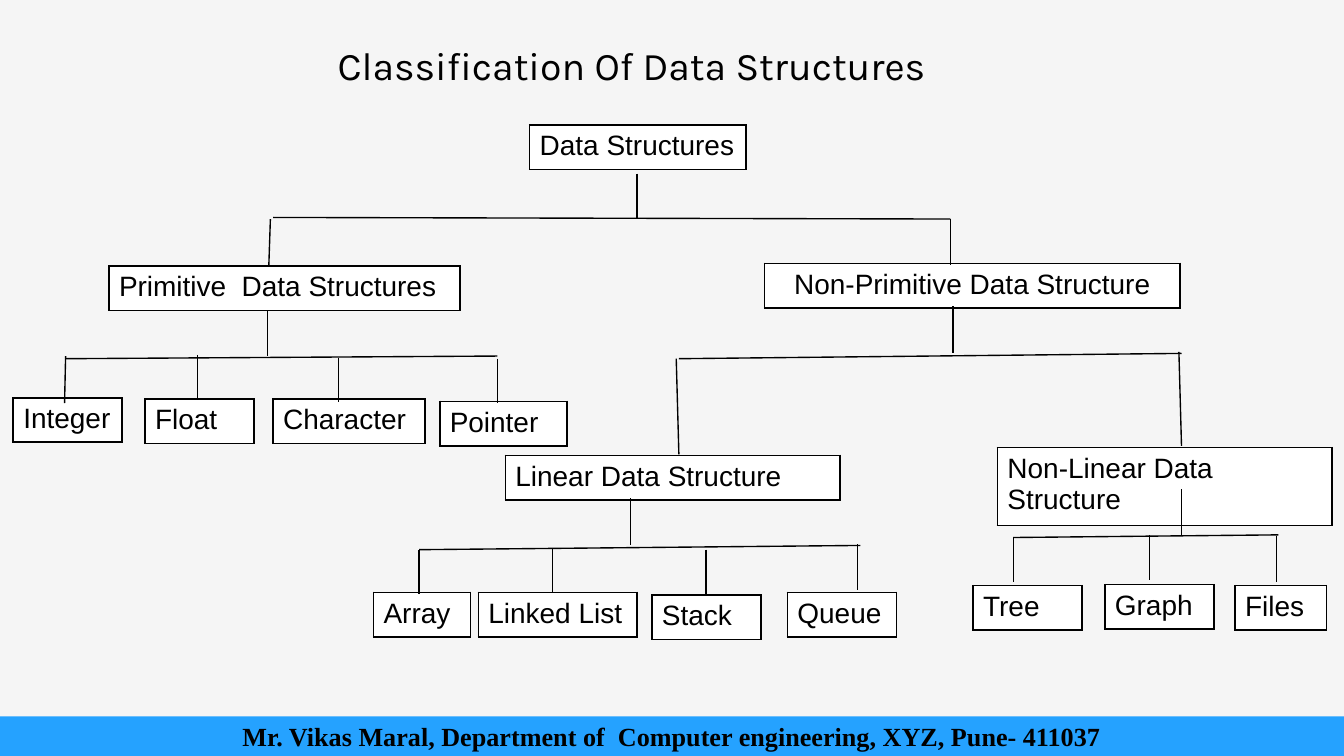
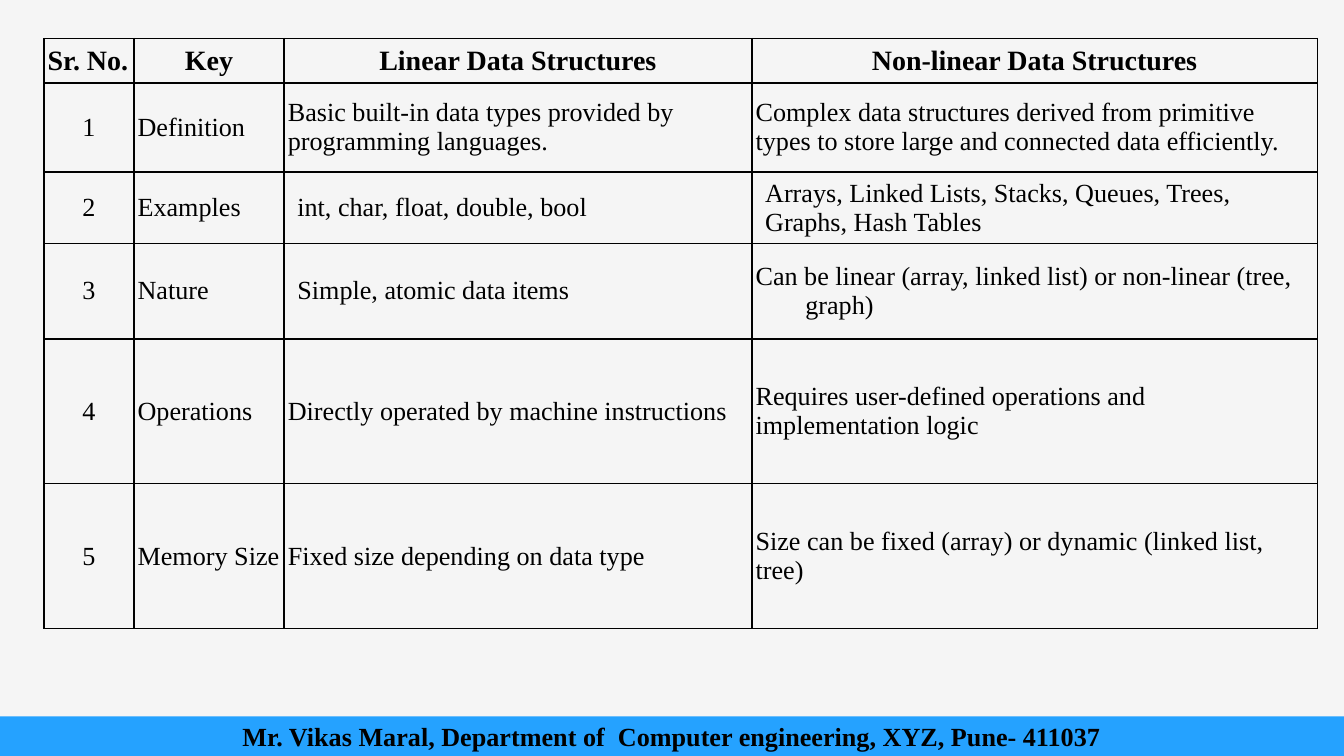
from lxml import etree
from pptx import Presentation
from pptx.dml.color import RGBColor
from pptx.enum.shapes import MSO_CONNECTOR, MSO_SHAPE
from pptx.enum.text import MSO_ANCHOR, PP_ALIGN
from pptx.oxml.ns import qn
from pptx.util import Cm, Pt

LEFT, CENTER = PP_ALIGN.LEFT, PP_ALIGN.CENTER
TOP, MIDDLE = MSO_ANCHOR.TOP, MSO_ANCHOR.MIDDLE
STRAIGHT, RECTANGLE = MSO_CONNECTOR.STRAIGHT, MSO_SHAPE.RECTANGLE

SLIDE_WIDTH, SLIDE_HEIGHT = 25.4, 14.29
BACKGROUND, BAND, BLACK, WHITE = "F5F5F5", "25A2FF", "000000", "FFFFFF"
SANS, SERIF, TITLE_FONT = "Arial", "Times New Roman", "Karla"
FOOTER = "Mr. Vikas Maral, Department of  Computer engineering, XYZ, Pune- 411037"
BOX_HEIGHT = 0.84
BOX_MARGINS, NARROW_MARGINS, WIDE_MARGINS = (0.19, 0.1), (0.07, 0.1), (0.25, 0.13)

# Text, left, top, width
BOXES = [
    ("Data Structures", 10.01, 2.36, 4.09),
    ("Primitive  Data Structures", 2.06, 5.03, 6.63),
    ("Integer", 0.25, 7.52, 2.06),
    ("Float", 2.74, 7.54, 2.06),
    ("Character", 5.16, 7.54, 2.87),
    ("Pointer", 8.31, 7.59, 2.41),
    ("Linear Data Structure", 9.55, 8.61, 6.32),
    ("Array", 7.06, 11.2, 1.83),
    ("Linked List", 9.04, 11.2, 3),
    ("Stack", 12.32, 11.25, 2.06),
    ("Queue", 14.88, 11.2, 2.06),
    ("Tree", 18.39, 11.07, 2.06),
    ("Graph", 20.88, 11.05, 2.06),
    ("Files", 23.34, 11.07, 1.73),
]

# Stem (x, top), crossbar (x1, y1, x2, y2), drops (x1, y1, x2, y2)
BRANCHES = [
    ((12.04, 3.28), (5.16, 4.11, 17.96, 4.14),
     [(5.11, 4.14, 5.08, 5.03), (17.96, 4.14, 17.96, 5)]),
    ((5.05, 5.87), (1.24, 6.78, 9.4, 6.73),
     [(1.24, 6.73, 1.22, 7.62), (3.73, 6.71, 3.73, 7.54),
      (6.4, 6.76, 6.4, 7.59), (9.4, 6.78, 9.4, 7.62)]),
    ((18.01, 5.79), (12.83, 6.78, 22.33, 6.68),
     [(12.78, 6.78, 12.83, 8.59), (22.28, 6.65, 22.33, 8.43)]),
    ((11.91, 9.42), (7.92, 10.39, 16.26, 10.31),
     [(7.92, 10.39, 7.92, 11.23), (10.44, 10.36, 10.44, 11.2),
      (13.34, 10.39, 13.34, 11.25), (16.21, 10.29, 16.21, 11.15)]),
    ((22.33, 9.25), (19.15, 10.16, 24.16, 10.11),
     [(19.15, 10.16, 19.15, 11), (21.72, 10.11, 21.72, 10.97),
      (24.13, 10.13, 24.13, 11)]),
]

COLUMN_WIDTHS = [1.7, 2.84, 8.84, 10.69]
ROW_HEIGHTS = [0.84, 1.68, 1.35, 1.8, 2.74, 2.74]
COMPARISON = [
    ("Sr. No.", "Key", "Linear Data Structures", "Non-linear Data Structures"),
    ("1", "Definition",
     "Basic built-in data types provided by programming languages.",
     "Complex data structures derived from primitive types to store large "
     "and connected data efficiently."),
    ("2", "Examples", "int, char, float, double, bool",
     "Arrays, Linked Lists, Stacks, Queues, Trees, Graphs, Hash Tables"),
    ("3", "Nature", "Simple, atomic data items",
     "Can be linear (array, linked list) or non-linear (tree, graph)"),
    ("4", "Operations", "Directly operated by machine instructions",
     "Requires user-defined operations and implementation logic"),
    ("5", "Memory Size", "Fixed size depending on data type",
     "Size can be fixed (array) or dynamic (linked list, tree)"),
]
WIDE_CELLS = {(2, 2), (2, 3), (3, 2)}
HANGING_CELL = (3, 3)


def color(hex_string):
    return RGBColor.from_string(hex_string)


def write(text_frame, text, size, font, bold=False, align=LEFT):
    text_frame.text = text
    paragraph = text_frame.paragraphs[0]
    paragraph.alignment = align
    for run in paragraph.runs:
        run.font.size = Pt(size)
        run.font.name = font
        run.font.bold = bold
        run.font.color.rgb = color(BLACK)


def add_cell_borders(cell):
    properties = cell._tc.get_or_add_tcPr()
    for side in ("a:lnL", "a:lnR", "a:lnT", "a:lnB"):
        line = etree.SubElement(properties, qn(side), w=str(Pt(0.96)))
        fill = etree.SubElement(line, qn("a:solidFill"))
        etree.SubElement(fill, qn("a:srgbClr"), val=BLACK)


def format_cell(cell, margins, anchor, fill=None):
    add_cell_borders(cell)
    if fill:
        cell.fill.solid()
        cell.fill.fore_color.rgb = color(fill)
    else:
        cell.fill.background()
    cell.margin_left = cell.margin_right = Cm(margins[0])
    cell.margin_top = cell.margin_bottom = Cm(margins[1])
    cell.vertical_anchor = anchor


def add_plain_table(slide, left, top, widths, heights):
    """Add a table without header or banding and return it."""
    table = slide.shapes.add_table(
        len(heights), len(widths), Cm(left), Cm(top),
        Cm(sum(widths)), Cm(sum(heights))).table
    table.first_row = table.horz_banding = False
    for column, width in zip(table.columns, widths):
        column.width = Cm(width)
    for row, height in zip(table.rows, heights):
        row.height = Cm(height)
    return table


def add_box(slide, text, left, top, width, height=BOX_HEIGHT, align=LEFT):
    """Add one node of the tree as a single-cell table."""
    cell = add_plain_table(slide, left, top, [width], [height]).cell(0, 0)
    write(cell.text_frame, text, 15, SANS, align=align)
    format_cell(cell, BOX_MARGINS, TOP, WHITE)


def add_line(slide, x1, y1, x2, y2):
    line = slide.shapes.add_connector(STRAIGHT, Cm(x1), Cm(y1), Cm(x2), Cm(y2))
    line.line.color.rgb = color(BLACK)
    line.line.width = Pt(0.75)
    etree.SubElement(line._element.spPr, qn("a:effectLst"))


def add_branch(slide, stem, crossbar, drops):
    """Draw a stem down to a crossbar, and the drops below it."""
    x, top = stem
    add_line(slide, *crossbar)
    add_line(slide, x, top, x, crossbar[3])
    for drop in drops:
        add_line(slide, *drop)


def add_title(slide, text):
    text_frame = slide.shapes.add_textbox(
        Cm(6.2), Cm(0.69), Cm(12.42), Cm(1.07)).text_frame
    text_frame.word_wrap = True
    text_frame.margin_left = text_frame.margin_right = Cm(0.18)
    text_frame.margin_top = text_frame.margin_bottom = Cm(0.1)
    write(text_frame, text, 21, TITLE_FONT)


def add_footer(slide):
    band = slide.shapes.add_shape(
        RECTANGLE, 0, Cm(13.54), Cm(SLIDE_WIDTH), Cm(SLIDE_HEIGHT - 13.54))
    band.shadow.inherit = False
    band.fill.solid()
    band.fill.fore_color.rgb = color(BAND)
    band.line.fill.background()
    band.text_frame.vertical_anchor = MIDDLE
    write(band.text_frame, FOOTER, 14, SERIF, bold=True, align=CENTER)


def add_slide(presentation):
    slide = presentation.slides.add_slide(presentation.slide_layouts[6])
    slide.background.fill.solid()
    slide.background.fill.fore_color.rgb = color(BACKGROUND)
    return slide


def add_comparison(slide):
    table = add_plain_table(slide, 0.83, 0.73, COLUMN_WIDTHS, ROW_HEIGHTS)
    for row, texts in enumerate(COMPARISON):
        header = row == 0
        for column, text in enumerate(texts):
            cell = table.cell(row, column)
            # The first heading fills its narrow column from the left
            centered = header != (column == 0)
            write(cell.text_frame, text, 15 if header else 14, SERIF,
                  bold=header, align=CENTER if centered else LEFT)
            wide = (row, column) in WIDE_CELLS
            format_cell(cell, WIDE_MARGINS if wide else NARROW_MARGINS, MIDDLE)
    hanging = table.cell(*HANGING_CELL).text_frame.paragraphs[0]
    properties = hanging._p.get_or_add_pPr()
    properties.set("marL", str(Cm(0.94)))
    properties.set("indent", str(-Cm(0.94)))


def build_classification(presentation):
    slide = add_slide(presentation)
    for box in BOXES:
        add_box(slide, *box)
    add_box(slide, "Non-Primitive Data Structure", 14.45, 4.98, 7.85, align=CENTER)
    add_box(slide, "Non-Linear Data Structure", 18.85, 8.46, 6.32, height=1.47)
    for branch in BRANCHES:
        add_branch(slide, *branch)
    add_title(slide, "Classification Of Data Structures")
    add_footer(slide)


def build_comparison(presentation):
    slide = add_slide(presentation)
    add_comparison(slide)
    add_footer(slide)


def main():
    presentation = Presentation()
    presentation.slide_width = Cm(SLIDE_WIDTH)
    presentation.slide_height = Cm(SLIDE_HEIGHT)
    build_classification(presentation)
    build_comparison(presentation)
    presentation.save("out.pptx")


if __name__ == "__main__":
    main()
